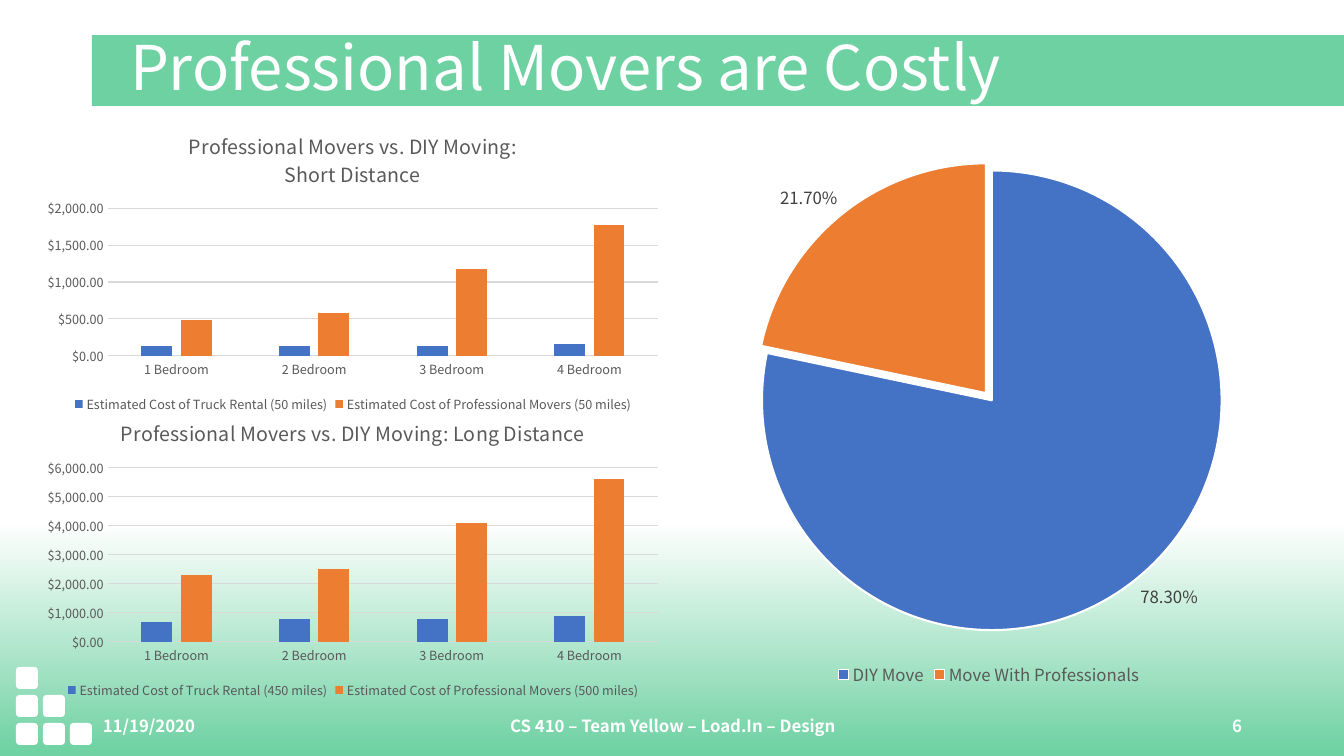
from lxml import etree
from pptx import Presentation
from pptx.chart.data import CategoryChartData
from pptx.dml.color import RGBColor
from pptx.enum.chart import XL_CHART_TYPE as ChartType
from pptx.enum.chart import XL_LABEL_POSITION as LabelPosition
from pptx.enum.chart import XL_LEGEND_POSITION as LegendPosition
from pptx.enum.chart import XL_TICK_MARK as TickMark
from pptx.enum.shapes import MSO_SHAPE as Shape
from pptx.enum.text import MSO_ANCHOR as Anchor
from pptx.enum.text import MSO_AUTO_SIZE as AutoSize
from pptx.enum.text import PP_ALIGN as Align
from pptx.oxml.ns import qn
from pptx.util import Emu, Pt

# Content
HEADING = "Professional Movers are Costly"
BEDROOMS = ["1 Bedroom", "2 Bedroom", "3 Bedroom", "4 Bedroom"]
COSTS = [  # top, axis maximum, title lines, series
    (115, 2000, ["Professional Movers vs. DIY Moving:", "Short Distance"], {
        "Estimated Cost of Truck Rental (50 miles)": [130, 130, 140, 160],
        "Estimated Cost of Professional Movers (50 miles)": [480, 580, 1180, 1770]}),
    (401, 6000, ["Professional Movers vs. DIY Moving: Long Distance"], {
        "Estimated Cost of Truck Rental (450 miles)": [700, 800, 800, 900],
        "Estimated Cost of Professional Movers (500 miles)": [2300, 2500, 4100, 5600]}),
]
SHARES = {"DIY Move": 78.3, "Move With Professionals": 21.7}
FOOTERS = [  # left, width, alignment, text
    (93, 302, Align.LEFT, "11/19/2020"),
    (446, 454, Align.CENTER, "CS 410 – Team Yellow – Load.In – Design"),
    (950, 302, Align.RIGHT, "6"),
]
TILE_ROWS = [1, 2, 3]  # tiles in each row, top to bottom

FONT = "Noto Sans CJK KR"
WHITE, GREEN, GREY, RULE = "FFFFFF", "6DD1A1", "595959", "D9D9D9"
BLUE_ORANGE = ["4472C4", "ED7D31"]


def px(length):
    return Emu(round(length * 914400 / 100.8))


def color(value):
    return RGBColor.from_string(value)


def set_font(font, size, value, bold=False):
    font.name, font.size, font.bold = FONT, Pt(size), bold
    font.color.rgb = color(value)


def paint(part, value):
    part.fill.solid()
    part.fill.fore_color.rgb = color(value)


def add_chart(kind, box, data, legend_size):
    chart = slide.shapes.add_chart(kind, *map(px, box), data).chart
    set_font(chart.font, 10, GREY)
    chart.has_legend = True
    chart.legend.position = LegendPosition.BOTTOM
    chart.legend.include_in_layout = False
    set_font(chart.legend.font, legend_size, GREY)
    return chart


prs = Presentation()
prs.slide_width, prs.slide_height = px(1344), px(756)
slide = prs.slides.add_slide(prs.slide_layouts[5])

# Background
backdrop = slide.background.fill
backdrop.gradient()
backdrop.gradient_angle = 270
for stop, position, value in zip(backdrop.gradient_stops, (0.69, 1), (WHITE, GREEN)):
    stop.position = position
    stop.color.rgb = color(value)

# Title band
title = slide.shapes.title
title.left, title.top, title.width, title.height = map(px, (92, 35, 1252, 71))
paint(title, GREEN)
frame = title.text_frame
frame.text = HEADING
frame.auto_size = AutoSize.NONE
frame.vertical_anchor = Anchor.MIDDLE
frame.margin_left = px(38)
heading = frame.paragraphs[0]
heading.alignment, heading.line_spacing = Align.LEFT, 0.9
set_font(heading.font, 44, WHITE)

# Corner tiles
for row, count in enumerate(TILE_ROWS):
    for column in range(count):
        tile = slide.shapes.add_shape(
            Shape.ROUNDED_RECTANGLE, px(16 + 27 * column), px(667 + 28 * row), px(22), px(22))
        tile.shadow.inherit = False
        paint(tile, WHITE)
        tile.line.fill.background()

# Footer
for left, width, alignment, words in FOOTERS:
    frame = slide.shapes.add_textbox(px(left), px(696), px(width), px(60)).text_frame
    frame.word_wrap = True
    frame.vertical_anchor = Anchor.MIDDLE
    frame.text = words
    frame.paragraphs[0].alignment = alignment
    set_font(frame.paragraphs[0].font, 12, WHITE, bold=True)

# Cost charts
for top, maximum, title_lines, costs in COSTS:
    data = CategoryChartData(number_format="\\$#,##0.00")
    data.categories = BEDROOMS
    for name, values in costs.items():
        data.add_series(name, values)
    chart = add_chart(ChartType.COLUMN_CLUSTERED, (35, top, 636, 302), data, 9)

    chart.has_title = True
    chart.chart_title.include_in_layout = False
    chart.chart_title.text_frame.text = "\n".join(title_lines)
    for line in chart.chart_title.text_frame.paragraphs:
        set_font(line.font, 14, GREY)

    plot = chart.plots[0]
    plot.vary_by_categories = False
    plot.gap_width, plot.overlap = 219, -27
    for series, value in zip(plot.series, BLUE_ORANGE):
        paint(series.format, value)

    bedrooms, dollars = chart.category_axis, chart.value_axis
    for axis in (bedrooms, dollars):
        axis.major_tick_mark = axis.minor_tick_mark = TickMark.NONE
        set_font(axis.tick_labels.font, 9, GREY)
    dollars.minimum_scale, dollars.maximum_scale = 0, maximum
    dollars.format.line.fill.background()
    for rule in (bedrooms.format.line, dollars.major_gridlines.format.line):
        rule.color.rgb = color(RULE)
        rule.width = Pt(0.75)

# Share pie
data = CategoryChartData()
data.categories = list(SHARES)
data.add_series("Series 1", SHARES.values())
chart = add_chart(ChartType.PIE, (703, 143, 572, 548), data, 12)
chart.has_title = False
plot = chart.plots[0]
plot.vary_by_categories = True
shares = plot.series[0]
shares.format.line.color.rgb = color(WHITE)
explosion = etree.Element(qn("c:explosion"), val="2")
shares.format.line  # the series outline precedes the explosion setting
shares._element.find(qn("c:spPr")).addnext(explosion)
for index, value in enumerate(BLUE_ORANGE):
    slice_format = shares.points[index].format
    paint(slice_format, value)
    slice_format.line.color.rgb = color(WHITE)
    slice_format.line.width = Pt(1.5)
labels = shares.data_labels
labels.show_percentage, labels.show_value = True, False
labels.number_format, labels.number_format_is_linked = "0.00%", False
labels.position = LabelPosition.OUTSIDE_END
set_font(labels.font, 12, "404040")

prs.save("out.pptx")
